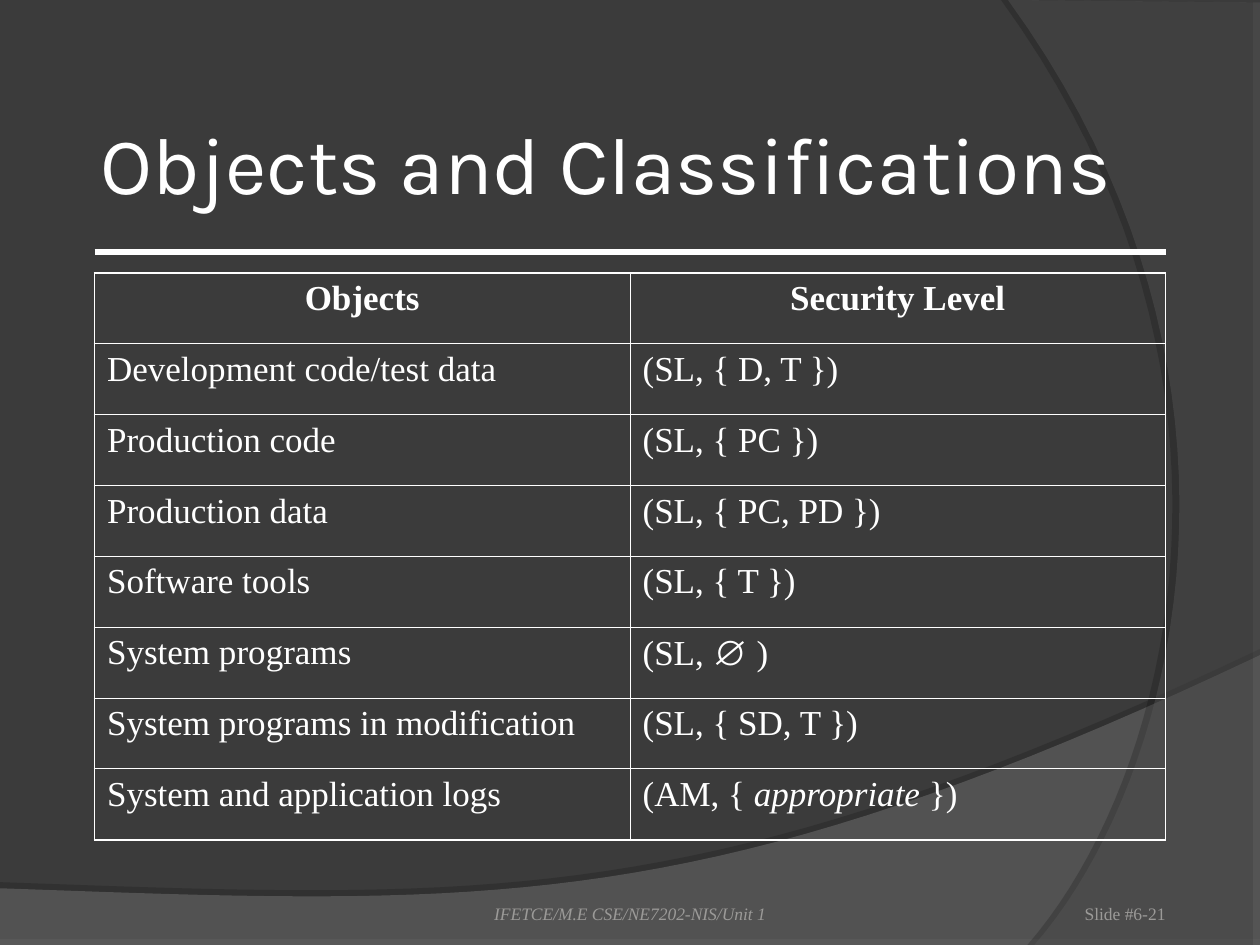
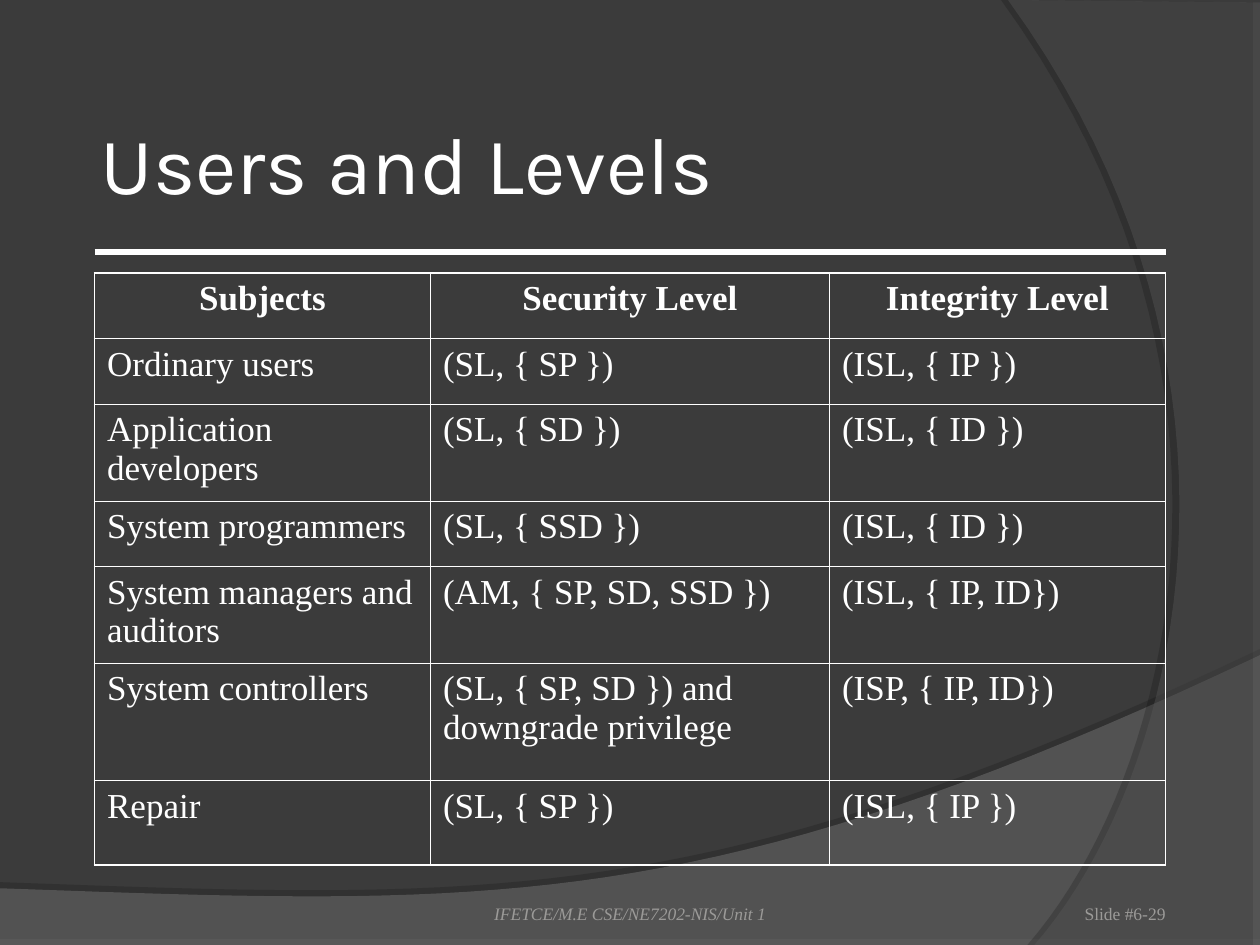
from lxml import etree
from pptx import Presentation
from pptx.dml.color import RGBColor
from pptx.enum.shapes import MSO_CONNECTOR
from pptx.enum.text import MSO_ANCHOR, MSO_AUTO_SIZE, PP_ALIGN
from pptx.oxml.ns import qn
from pptx.util import Pt

LEFT, CENTER, RIGHT = PP_ALIGN.LEFT, PP_ALIGN.CENTER, PP_ALIGN.RIGHT
MIDDLE, BOTTOM, TOP = MSO_ANCHOR.MIDDLE, MSO_ANCHOR.BOTTOM, MSO_ANCHOR.TOP
STRAIGHT = MSO_CONNECTOR.STRAIGHT
NO_AUTOFIT = MSO_AUTO_SIZE.NONE

BACKGROUND, WHITE, FOOTER_GREY = "3B3B3B", "FFFFFF", "9B9A98"
WAVE_GREY, ARC_GREY = "7C7C7C", "595959"
TITLE_FONT, BODY_FONT, SYMBOL_FONT = "Karla", "Times New Roman", "Arial"
MARGIN, CONTENT_WIDTH = 54, 612
OUTER_BORDER, INNER_BORDER = 1.08, 0.45
FOOTER = "IFETCE/M.E CSE/NE7202-NIS/Unit 1"

OBJECT_ROWS = [
    ("Objects", "Security Level"),
    ("Development code/test data", "(SL, { D, T })"),
    ("Production code", "(SL, { PC })"),
    ("Production data", "(SL, { PC, PD })"),
    ("Software tools", "(SL, { T })"),
    ("System programs", ["(SL, ", "∅", " )"]),
    ("System programs in modification", "(SL, { SD, T })"),
    ("System and application logs", ["(AM, { ", "appropriate", " })"]),
]
USER_ROWS = [
    ("Subjects", "Security Level", "Integrity Level"),
    ("Ordinary users", "(SL, { SP })", "(ISL, { IP })"),
    ("Application developers", "(SL, { SD })", "(ISL, { ID })"),
    ("System programmers", "(SL, { SSD })", "(ISL, { ID })"),
    ("System managers and auditors", "(AM, { SP, SD, SSD })", "(ISL, { IP, ID})"),
    ("System controllers", "(SL, { SP, SD }) and downgrade privilege", "(ISP, { IP, ID})"),
    ("Repair", "(SL, { SP })", "(ISL, { IP })"),
]


def color(value):
    """Turn a hex string into a colour."""
    return RGBColor.from_string(value)


def format_run(run, size, font_name, hex_color, bold=False, italic=False):
    """Set the font of one run."""
    font = run.font
    font.size, font.name = Pt(size), font_name
    font.bold, font.italic = bold, italic
    font.color.rgb = color(hex_color)


def set_frame(text_frame, anchor, insets):
    """Set wrapping, anchor and insets (left, top, right, bottom)."""
    text_frame.word_wrap = True
    text_frame.auto_size = NO_AUTOFIT
    text_frame.vertical_anchor = anchor
    (text_frame.margin_left, text_frame.margin_top,
     text_frame.margin_right, text_frame.margin_bottom) = map(Pt, insets)


def bezier(start, control_1, control_2, end, steps=40):
    """Return points along a cubic curve, without its start."""
    points = []
    for step in range(1, steps + 1):
        t = step / steps
        weights = ((1 - t) ** 3, 3 * t * (1 - t) ** 2, 3 * t * t * (1 - t), t ** 3)
        pairs = zip(start, control_1, control_2, end)
        points.append(tuple(sum(w * v for w, v in zip(weights, axis)) for axis in pairs))
    return points


def add_band(slide, corners, curve, fill, opacity, shadow):
    """Add a translucent band with one curved edge and a hard shadow."""
    points = [(Pt(x), Pt(y)) for x, y in corners + bezier(corners[-1], *curve)]
    builder = slide.shapes.build_freeform(*points[0])
    builder.add_line_segments(points[1:], close=True)
    shape = builder.convert_to_shape()
    shape.fill.solid()
    shape.fill.fore_color.rgb = color(fill)
    shape.line.fill.background()
    shape.shadow.inherit = False
    properties = shape.element.spPr
    fill_color = properties.find(qn("a:solidFill"))[0]
    etree.SubElement(fill_color, qn("a:alpha"), val=str(opacity * 1000))
    shadow_opacity, distance, angle = shadow
    effect = etree.SubElement(
        properties.find(qn("a:effectLst")), qn("a:outerShdw"), blurRad="0",
        dist=str(Pt(distance)), dir=str(angle * 60000), algn="ctr", rotWithShape="0")
    shadow_color = etree.SubElement(effect, qn("a:srgbClr"), val="000000")
    etree.SubElement(shadow_color, qn("a:alpha"), val=str(shadow_opacity * 1000))


def add_rule(slide):
    """Add the white line below the title."""
    rule = slide.shapes.add_connector(
        STRAIGHT, Pt(MARGIN), Pt(144), Pt(MARGIN + CONTENT_WIDTH), Pt(144))
    rule.line.color.rgb = color(WHITE)
    rule.line.width = Pt(3)
    etree.SubElement(rule.element.spPr, qn("a:effectLst"))


def set_title(slide, text):
    """Fill the title placeholder and bring it in front of the bands."""
    title = slide.shapes.title
    title.left, title.top = Pt(MARGIN), Pt(48)
    title.width, title.height = Pt(CONTENT_WIDTH), Pt(90)
    title.text_frame.text = text
    set_frame(title.text_frame, MIDDLE, (3.6, 3.6, 3.6, 3.6))
    paragraph = title.text_frame.paragraphs[0]
    paragraph.alignment = LEFT
    format_run(paragraph.runs[0], 46, TITLE_FONT, WHITE)
    title.element.getparent().append(title.element)


def add_footer_text(slide, left, width, text, alignment, top_inset=0, italic=False):
    """Add one small grey text at the foot of the slide."""
    box = slide.shapes.add_textbox(Pt(left), Pt(492), Pt(width), Pt(36))
    box.text_frame.text = text
    set_frame(box.text_frame, BOTTOM, (0, top_inset, 0, 0))
    paragraph = box.text_frame.paragraphs[0]
    paragraph.alignment = alignment
    format_run(paragraph.runs[0], 10, BODY_FONT, FOOTER_GREY, italic=italic)


def set_borders(cell, outer_sides):
    """Draw white cell borders, heavier on the outer sides."""
    properties = cell._tc.get_or_add_tcPr()
    for side in "LRTB":
        width = OUTER_BORDER if side in outer_sides else INNER_BORDER
        line = etree.SubElement(properties, qn("a:ln" + side), w=str(Pt(width)))
        fill = etree.SubElement(line, qn("a:solidFill"))
        etree.SubElement(fill, qn("a:srgbClr"), val=WHITE)


def fill_cell(cell, content, header):
    """Write a cell from one string or from a list of runs."""
    paragraph = cell.text_frame.paragraphs[0]
    paragraph.alignment = CENTER if header else LEFT
    for text in [content] if isinstance(content, str) else content:
        run = paragraph.add_run()
        run.text = text
        font_name = SYMBOL_FONT if text == "∅" else BODY_FONT
        format_run(run, 20, font_name, WHITE, bold=header, italic=text == "appropriate")
    cell.vertical_anchor = TOP
    cell.margin_left = cell.margin_right = Pt(7.2)
    cell.margin_top = cell.margin_bottom = Pt(3.6)


def add_level_table(slide, rows, column_widths, row_heights):
    """Add an unfilled table of levels with a header row."""
    table = slide.shapes.add_table(
        len(rows), len(column_widths), Pt(MARGIN), Pt(156),
        Pt(sum(column_widths)), Pt(sum(row_heights))).table
    table.first_row = table.horz_banding = False
    for column, width in zip(table.columns, column_widths):
        column.width = Pt(width)
    for row, height in zip(table.rows, row_heights):
        row.height = Pt(height)
    last_row, last_column = len(rows) - 1, len(column_widths) - 1
    for i, contents in enumerate(rows):
        for j, content in enumerate(contents):
            cell = table.cell(i, j)
            edges = {"L": j == 0, "R": j == last_column, "T": i == 0, "B": i == last_row}
            fill_cell(cell, content, header=i == 0)
            set_borders(cell, [side for side, outer in edges.items() if outer])
            cell.fill.background()


def add_level_slide(presentation, title, number, rows, column_widths, row_heights):
    """Add a slide with the shared bands, title, rule, table and footer."""
    slide = presentation.slides.add_slide(presentation.slide_layouts[5])
    add_band(slide, [(0, 507.6), (0, 540), (720, 540), (720, 374.4)],
             [(402.5, 524.9), (281.5, 517.7), (0, 507.6)], WAVE_GREY, 45, (35, 3.5, 270))
    add_band(slide, [(720, 1.4), (720, 540), (591.1, 540)],
             [(673.2, 445.7), (733, 216), (576, 0)], ARC_GREY, 40, (45, 4, 180))
    add_rule(slide)
    set_title(slide, title)
    add_level_table(slide, rows, column_widths, row_heights)
    add_footer_text(slide, 246, 228, FOOTER, CENTER, top_inset=3.6, italic=True)
    add_footer_text(slide, 516, 150, f"Slide #{number}", RIGHT)


def main():
    """Build and save the presentation."""
    presentation = Presentation()
    presentation.slide_width, presentation.slide_height = Pt(720), Pt(540)
    background = presentation.slide_master.background.fill
    background.solid()
    background.fore_color.rgb = color(BACKGROUND)
    add_level_slide(presentation, "Objects and Classifications", "6-21",
                    OBJECT_ROWS, [306, 306], [40.5] * len(OBJECT_ROWS))
    add_level_slide(presentation, "Users and Levels", "6-29", USER_ROWS,
                    [192, 228, 192], [37.5, 37.5, 55.3, 37.5, 55.3, 67, 48.3])
    presentation.save("out.pptx")


if __name__ == "__main__":
    main()
